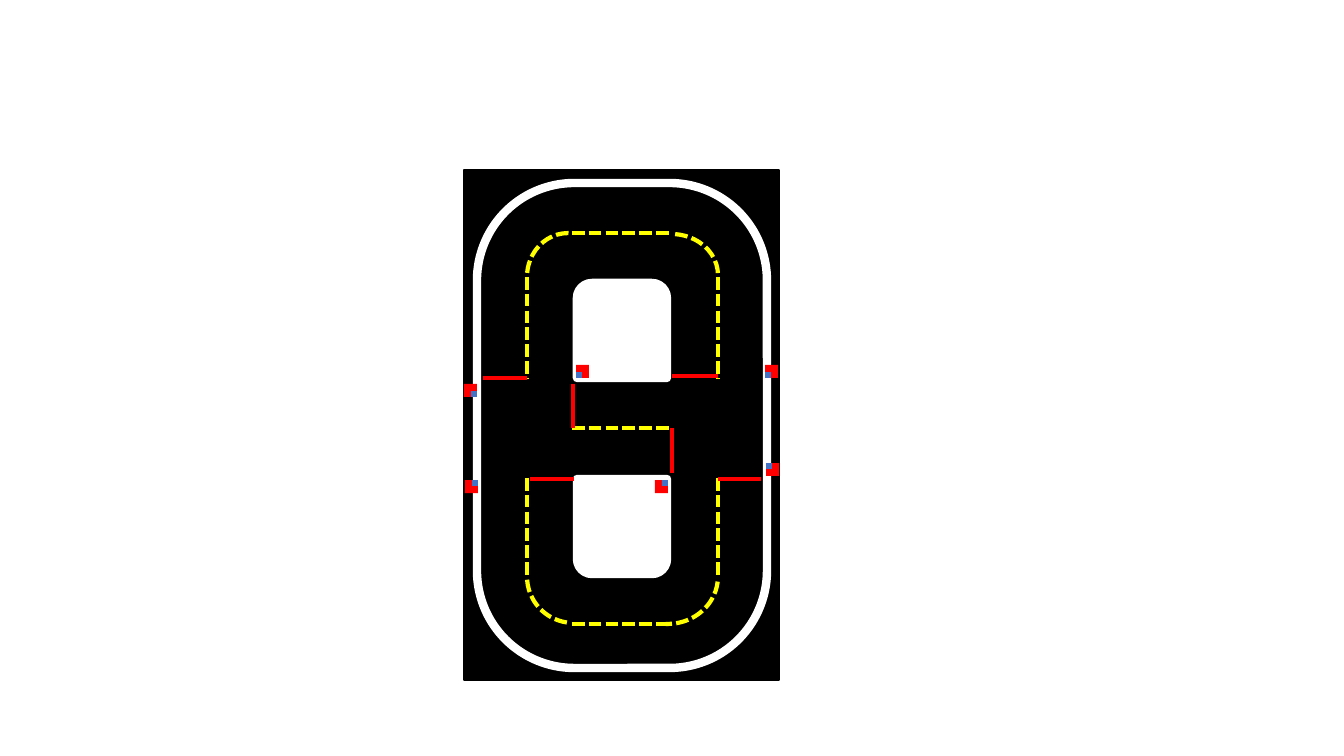
import pptx
import pptx.util
import pptx.dml.color
import pptx.enum.dml
import pptx.enum.shapes
from pptx.oxml.ns import qn
from lxml import etree

RGBColor = pptx.dml.color.RGBColor
SHAPE = pptx.enum.shapes.MSO_SHAPE
DASH = pptx.enum.dml.MSO_LINE.SQUARE_DOT

BLACK = RGBColor(0x00, 0x00, 0x00)
WHITE = RGBColor(0xFF, 0xFF, 0xFF)
YELLOW = RGBColor(0xFF, 0xFF, 0x00)
RED = RGBColor(0xFF, 0x00, 0x00)
BLUE = RGBColor(0x44, 0x72, 0xC4)
EMU_PER_PIXEL = 914400 / 100.8

# Track: boxes are left, top, width, height
GROUND = (464, 170, 315, 510)
ROAD = (477, 183, 290, 485)
ROAD_ROUNDING = 0.336
ISLANDS = [((577, 283, 90, 95), 0), ((577, 479, 90, 95), 180)]

# Centre line: straights, then corner arcs as box, rotation, angles
ACROSS_X, ACROSS_Y = (572, 672), (233, 428, 624)
DOWN_X, DOWN_Y = (527, 718), ((277, 378), (478, 578))
CORNER_ANGLES = (165.507, 1.432)
CORNERS = [
    ((524, 236, 88, 82), 270, CORNER_ANGLES),
    ((624, 234, 94, 82), 0, CORNER_ANGLES),
    ((620, 526, 95, 101), 90, CORNER_ANGLES),
    ((527, 530, 94, 93), 180, (167.293, 213.791)),
]

# Stop lines: x1, y1, x2, y2
STOP_LINES = [
    (527, 378, 483, 378), (574, 479, 530, 479), (761, 479, 718, 479),
    (718, 376, 672, 376), (573, 384, 573, 428), (672, 428, 672, 473),
]

# Signals: left, top, rotation
SIGNAL_SIDE, LAMP_SIDE = 13, 6
SIGNALS = [
    (464, 384, 0), (576, 365, 90), (766, 463, 180),
    (655, 480, 270), (465, 480, 270), (765, 365, 90),
]


def px(value):
    return pptx.util.Emu(round(value * EMU_PER_PIXEL))


def add_part(shapes, kind, box, fill=None, line=None, width=0, rotation=0):
    part = shapes.add_shape(kind, *map(px, box))
    part.shadow.inherit = False
    part.rotation = rotation
    if fill is None:
        part.fill.background()
    else:
        part.fill.solid()
        part.fill.fore_color.rgb = fill
    if line is None:
        part.line.fill.background()
    else:
        part.line.color.rgb = line
        part.line.width = pptx.util.Pt(width)
    return part


def add_marking(shapes, ends, color, dash=None):
    marking = shapes.add_connector(pptx.enum.shapes.MSO_CONNECTOR.STRAIGHT, *map(px, ends))
    marking.line.color.rgb = color
    marking.line.width = pptx.util.Pt(3)
    marking.line.dash_style = dash
    etree.SubElement(marking._element.spPr, qn("a:effectLst"))


deck = pptx.Presentation()
deck.slide_width, deck.slide_height = px(1344), px(756)
shapes = deck.slides.add_slide(deck.slide_layouts[6]).shapes

# Ground, road and islands
add_part(shapes, SHAPE.RECTANGLE, GROUND, BLACK, BLACK, 1)
road = add_part(shapes, SHAPE.ROUNDED_RECTANGLE, ROAD, BLACK, WHITE, 6)
road.adjustments[0] = ROAD_ROUNDING
for box, rotation in ISLANDS:
    add_part(shapes, SHAPE.ROUND_2_SAME_RECTANGLE, box, WHITE, WHITE, 6, rotation)

# Straight centre lines
for y in ACROSS_Y:
    add_marking(shapes, (ACROSS_X[0], y, ACROSS_X[1], y), YELLOW, DASH)
for top, bottom in DOWN_Y:
    for x in DOWN_X:
        add_marking(shapes, (x, top, x, bottom), YELLOW, DASH)

# Stop lines
for ends in STOP_LINES:
    add_marking(shapes, ends, RED)

# Corner centre lines
for box, rotation, angles in CORNERS:
    corner = add_part(shapes, SHAPE.ARC, box, None, YELLOW, 3, rotation)
    corner.line.dash_style = DASH
    for index, angle in enumerate(angles):
        corner.adjustments[index] = angle

# Signals: the lamp sits bottom right and turns with its group
for left, top, rotation in SIGNALS:
    signal = shapes.add_group_shape()
    inset = SIGNAL_SIDE - LAMP_SIDE
    add_part(signal.shapes, SHAPE.RECTANGLE, (left, top, SIGNAL_SIDE, SIGNAL_SIDE), RED)
    add_part(signal.shapes, SHAPE.RECTANGLE,
             (left + inset, top + inset, LAMP_SIDE, LAMP_SIDE), BLUE)
    signal.rotation = rotation

deck.save("out.pptx")
